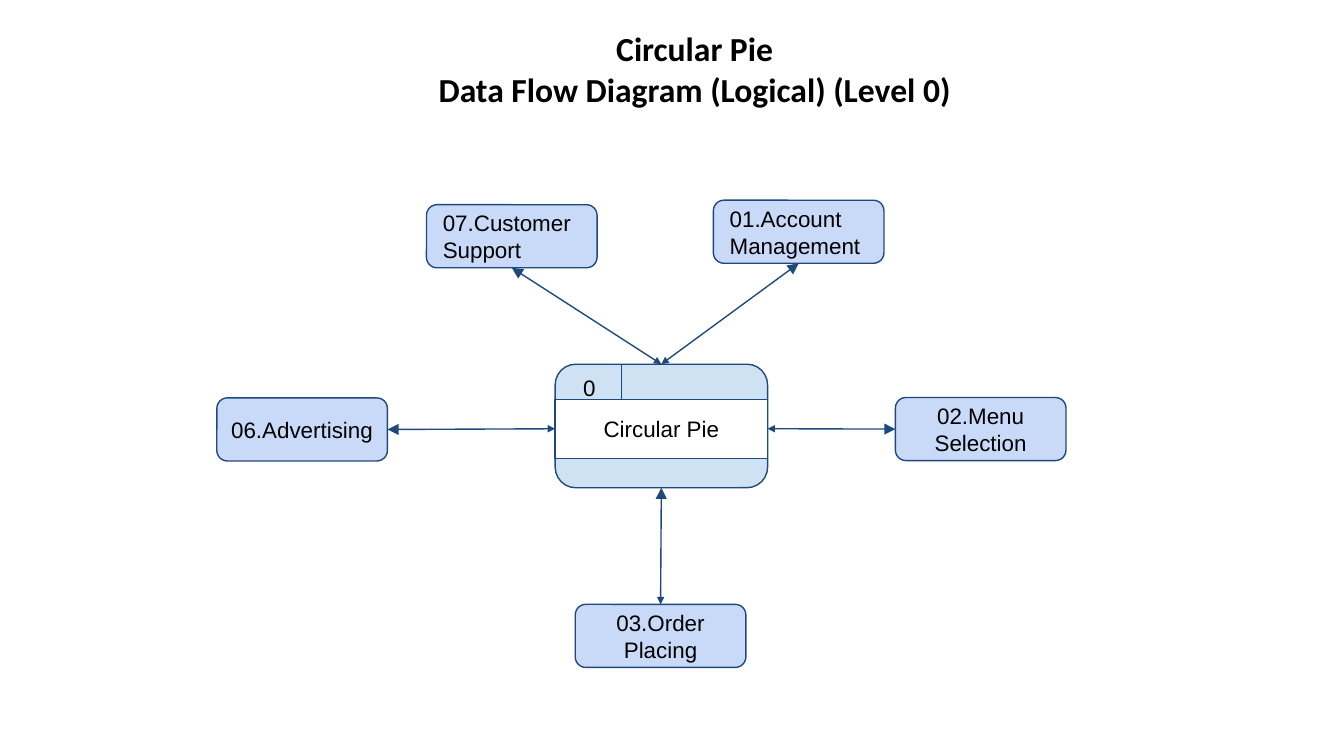
from lxml import etree
from pptx import Presentation
from pptx import util as u
from pptx.dml.color import RGBColor
from pptx.enum import shapes, text
from pptx.oxml import ns

Pt = u.Pt
COLORS = {"ink": "000000", "line": "1F497D", "hub": "CFE2F3",
          "process": "C9DAF8", "band": "FFFFFF"}
TITLE = ["Circular Pie", "Data Flow Diagram (Logical) (Level 0)"]
HUB = (297.4, 195.1, 113.8, 66.2)
BAND = (297.4, 213.9, 113.8, 31.6)
NUMBER = (296.6, 193, 38.2, 26.6)
DIVIDER_X = 332.8
PROCESS_SIZE = (91.4, 33.8)
TOP, LEFT, BOTTOM, RIGHT = range(4)
LEFT_TEXT, CENTER_TEXT = (text.PP_ALIGN.LEFT, 7.2), (text.PP_ALIGN.CENTER, 4)
PROCESSES = [
    ("06.Advertising", 116.2, 213.2, CENTER_TEXT, LEFT, RIGHT),
    ("03.Order Placing", 308.2, 323.8, CENTER_TEXT, BOTTOM, TOP),
    ("01.Account Management", 382.2, 107.3, LEFT_TEXT, TOP, BOTTOM),
    ("02.Menu Selection", 479.7, 213, CENTER_TEXT, RIGHT, LEFT),
    ("07.Customer Support", 228.5, 109.7, LEFT_TEXT, TOP, BOTTOM),
]

deck = Presentation()
deck.slide_width, deck.slide_height = Pt(720), Pt(405)
slide = deck.slides.add_slide(deck.slide_layouts[5])


def color(name):
    return RGBColor.from_string(COLORS[name])


def write(holder, lines, size, font, align, inset=7.2, bold=False,
          anchor=text.MSO_ANCHOR.MIDDLE):
    frame = holder.text_frame
    frame.text = "\n".join(lines)
    frame.word_wrap = True
    frame.auto_size = text.MSO_AUTO_SIZE.NONE
    frame.vertical_anchor = anchor
    frame.margin_left = frame.margin_right = Pt(inset)
    frame.margin_top = frame.margin_bottom = Pt(0)
    for paragraph in frame.paragraphs:
        paragraph.alignment = align
        for run in paragraph.runs:
            run.font.size, run.font.name, run.font.bold = Pt(size), font, bold
            run.font.color.rgb = color("ink")


def add_box(kind, bounds, fill):
    box = slide.shapes.add_shape(kind, *map(Pt, bounds))
    box.shadow.inherit = False
    box.fill.solid()
    box.fill.fore_color.rgb = color(fill)
    box.line.color.rgb = color("line")
    box.line.width = Pt(0.75)
    return box


def add_line(x1=0, y1=0, x2=0, y2=0):
    line = slide.shapes.add_connector(shapes.MSO_CONNECTOR.STRAIGHT,
                                      Pt(x1), Pt(y1), Pt(x2), Pt(y2))
    line.line.color.rgb = color("line")
    line.line.width = Pt(0.75)
    etree.SubElement(line._element.spPr, ns.qn("a:effectLst"))
    return line


def add_flow(source, source_site, target, target_site):
    flow = add_line()
    flow.begin_connect(source, source_site)
    flow.end_connect(target, target_site)
    outline = flow.line._get_or_add_ln()
    for end, size in (("a:headEnd", "sm"), ("a:tailEnd", "med")):
        etree.SubElement(outline, ns.qn(end), type="triangle", w=size, len=size)


title = slide.shapes.title
title.left, title.top, title.width, title.height = map(Pt, (191.5, 7.9, 361.4, 51.8))
write(title, TITLE, 18, "Calibri", text.PP_ALIGN.CENTER, bold=True)
title.text_frame.margin_top = Pt(7.2)
title.text_frame.vertical_anchor = text.MSO_ANCHOR.TOP

ROUND = shapes.MSO_SHAPE.ROUNDED_RECTANGLE
hub = add_box(ROUND, HUB, "hub")
number = slide.shapes.add_textbox(*map(Pt, NUMBER))
write(number, ["0"], 12, "Arial", text.PP_ALIGN.CENTER,
      anchor=text.MSO_ANCHOR.TOP)
number.text_frame.margin_top = Pt(7.2)
band = add_box(shapes.MSO_SHAPE.RECTANGLE, BAND, "band")
write(band, ["Circular Pie"], 12, "Arial", text.PP_ALIGN.CENTER)
add_line(DIVIDER_X, HUB[1], DIVIDER_X, BAND[1])

for label, x, y, (align, inset), hub_site, process_site in PROCESSES:
    process = add_box(ROUND, (x, y, *PROCESS_SIZE), "process")
    write(process, [label], 12, "Arial", align, inset)
    center = band if hub_site in (LEFT, RIGHT) else hub
    ends = (center, hub_site), (process, process_site)
    if hub_site == BOTTOM:
        ends = ends[::-1]
    add_flow(*ends[0], *ends[1])

deck.save("out.pptx")
